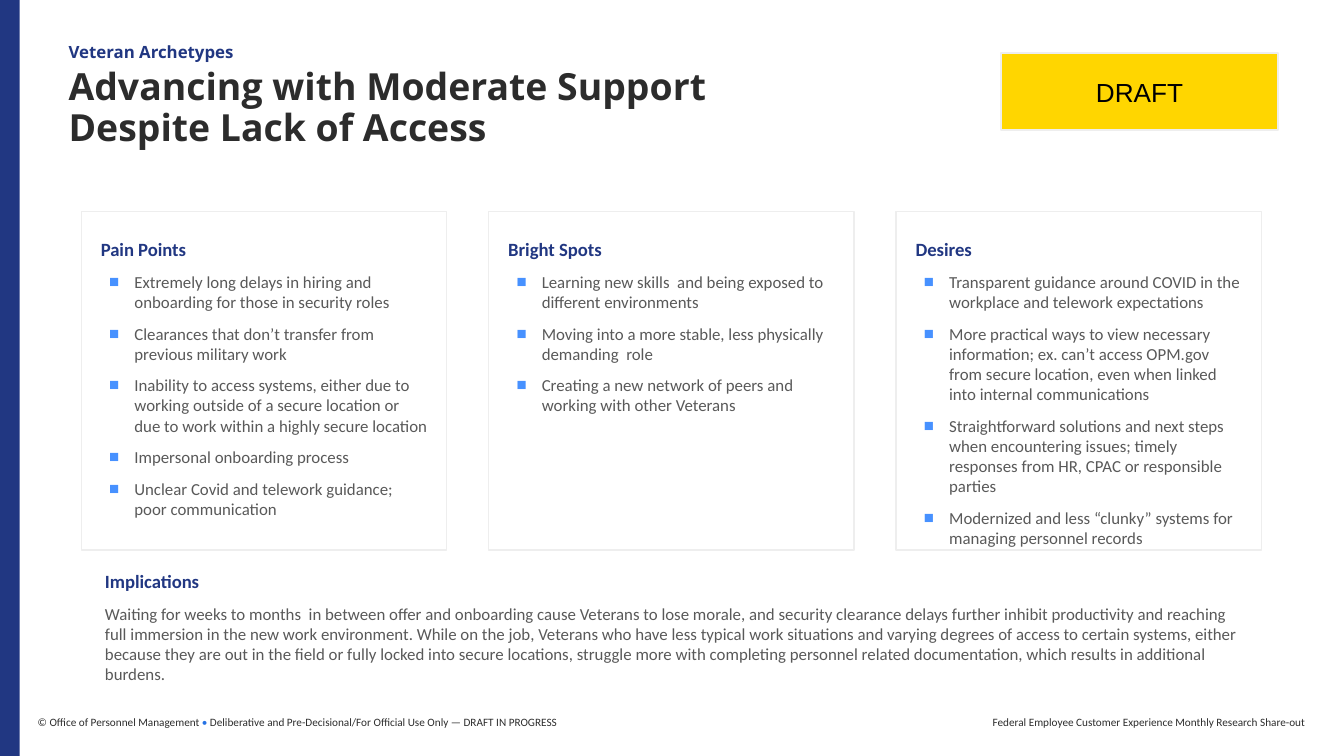
from lxml.etree import SubElement
from pptx import Presentation
from pptx.dml.color import RGBColor
from pptx.enum.shapes import MSO_SHAPE
from pptx.enum.text import MSO_ANCHOR, MSO_AUTO_SIZE, PP_ALIGN
from pptx.oxml.ns import qn
from pptx.util import Pt

PX = 9525  # EMU per px, 96 px to the inch
NAVY, WHITE, INK, GREY = "213782", "FFFFFF", "2C2C2C", "595959"
BLUE, BULLET, EDGE, YELLOW = "2572E4", "4791FF", "EEEEEE", "FFD600"

HEADING = dict(name="Calibri", size=Pt(10), bold=True, color=NAVY)
BODY = dict(name="Calibri", size=Pt(9), bold=False, color=GREY)
TITLE = dict(name="Open Sans", size=Pt(20), bold=True, color=INK)
EYEBROW = dict(name="Open Sans", size=Pt(9), bold=True, color=NAVY)
FOOTER = dict(name="Calibri", size=Pt(6), color=INK)
FOOTER_DOT = dict(FOOTER, color=BLUE)
STAMP = dict(name="Arial", size=Pt(14), color="000000")

CARDS = [
    ("Pain Points", [
        "Extremely long delays in hiring and onboarding for those in security roles",
        "Clearances that don’t transfer from previous military work",
        "Inability to access systems, either due to working outside of a secure "
        "location or due to work within a highly secure location",
        "Impersonal onboarding process",
        "Unclear Covid and telework guidance; poor communication",
    ]),
    ("Bright Spots", [
        "Learning new skills  and being exposed to different environments",
        "Moving into a more stable, less physically demanding  role",
        "Creating a new network of peers and working with other Veterans",
    ]),
    ("Desires", [
        "Transparent guidance around COVID in the workplace and telework expectations",
        "More practical ways to view necessary information; ex. can’t access OPM.gov "
        "from secure location, even when linked into internal communications",
        "Straightforward solutions and next steps when encountering issues; timely "
        "responses from HR, CPAC or responsible parties",
        "Modernized and less “clunky” systems for managing personnel records",
    ]),
]
IMPLICATIONS = (
    "Waiting for weeks to months  in between offer and onboarding cause Veterans to "
    "lose morale, and security clearance delays further inhibit productivity and "
    "reaching full immersion in the new work environment. While on the job, Veterans "
    "who have less typical work situations and varying degrees of access to certain "
    "systems, either because they are out in the field or fully locked into secure "
    "locations, struggle more with completing personnel related documentation, which "
    "results in additional burdens."
)


def rgb(value):
    return RGBColor.from_string(value)


def place(sp, *box):
    for name, value in zip(("left", "top", "width", "height"), box):
        setattr(sp, name, value * PX)


def paint(sp, fill, line=None):
    sp.fill.solid()
    sp.fill.fore_color.rgb = rgb(fill)
    if line:
        sp.line.color.rgb = rgb(line)
        sp.line.width = Pt(0.75)
    else:
        sp.line.fill.background()


def set_frame(sp, insets=(0, 0, 0, 0), anchor=MSO_ANCHOR.TOP):
    """Set wrapping, anchor and the left, top, right and bottom insets."""
    tf = sp.text_frame
    tf.word_wrap = True
    tf.auto_size = MSO_AUTO_SIZE.NONE
    tf.vertical_anchor = anchor
    for side, value in zip(("left", "top", "right", "bottom"), insets):
        setattr(tf, f"margin_{side}", value * PX)
    return tf


def write(p, *runs, align=PP_ALIGN.LEFT, before=0, bullet=False):
    """Fill a paragraph with (text, format) runs."""
    p.alignment = align
    p.space_before = Pt(before)
    p.space_after = Pt(0)
    pPr = p._p.get_or_add_pPr()
    pPr.set("marL", str(24 * PX if bullet else 0))
    pPr.set("indent", str(-18 * PX if bullet else 0))
    if bullet:
        SubElement(SubElement(pPr, qn("a:buClr")), qn("a:srgbClr"), val=BULLET)
        SubElement(pPr, qn("a:buChar"), char="■")
    else:
        SubElement(pPr, qn("a:buNone"))
    for text, fmt in runs:
        r = p.add_run()
        r.text = text
        for name, value in fmt.items():
            if name == "color":
                r.font.color.rgb = rgb(value)
            else:
                setattr(r.font, name, value)


def add_rect(s, box, fill, line=None):
    sp = s.shapes.add_shape(MSO_SHAPE.RECTANGLE, *(v * PX for v in box))
    sp.shadow.inherit = False
    paint(sp, fill, line)
    return sp


def add_label(s, box, *runs, insets=(0, 0, 0, 0), anchor=MSO_ANCHOR.MIDDLE,
              align=PP_ALIGN.LEFT):
    sp = s.shapes.add_textbox(*(v * PX for v in box))
    write(set_frame(sp, insets, anchor).paragraphs[0], *runs, align=align)


def fill_section(sp, box, heading, items, insets, bullet):
    """Lay out a body placeholder as a heading with paragraphs below it."""
    place(sp, *box)
    tf = set_frame(sp, insets)
    write(tf.paragraphs[0], (heading, HEADING))
    for item in items:
        write(tf.add_paragraph(), (item, BODY), before=6, bullet=bullet)


def main():
    prs = Presentation()
    prs.slide_width, prs.slide_height = 960 * PX, 540 * PX
    s = prs.slides.add_slide(prs.slide_layouts.get_by_name("Comparison"))
    s.background.fill.solid()
    s.background.fill.fore_color.rgb = rgb(NAVY)
    panel = add_rect(s, (14, 0, 946, 540), WHITE)
    s.shapes._spTree.insert(2, panel._element)

    title, *cards, implications = s.placeholders
    place(title, 49, 49, 557, 75)
    p = set_frame(title, (0, 0, 0, 10)).paragraphs[0]
    write(p, ("Advancing with Moderate Support Despite Lack of Access", TITLE))
    p.line_spacing = 0.9
    add_label(s, (49, 27, 307, 17), ("Veteran Archetypes", EYEBROW),
              anchor=MSO_ANCHOR.BOTTOM)

    for i, (sp, (heading, items)) in enumerate(zip(cards, CARDS)):
        fill_section(sp, (58 + 291 * i, 151, 261, 242), heading, items,
                     (14, 19, 14, 14), bullet=True)
        paint(sp, WHITE, EDGE)
    fill_section(implications, (75, 407, 810, 100), "Implications", [IMPLICATIONS],
                 (0, 0, 0, 10), bullet=False)

    stamp = add_rect(s, (715, 38, 198, 55), YELLOW, EDGE)
    write(set_frame(stamp, (10, 10, 10, 10), MSO_ANCHOR.MIDDLE).paragraphs[0],
          ("DRAFT", STAMP), align=PP_ALIGN.CENTER)

    add_label(s, (27, 502, 432, 27),
              ("© Office of Personnel Management ", FOOTER), ("•", FOOTER_DOT),
              (" Deliberative and Pre-Decisional/For Official Use Only"
               " — DRAFT IN PROGRESS", FOOTER), insets=(0, 10, 0, 10))
    add_label(s, (561, 502, 371, 27),
              ("Federal Employee Customer Experience Monthly Research Share-out", FOOTER),
              insets=(0, 10, 0, 10), align=PP_ALIGN.RIGHT)
    prs.save("out.pptx")


if __name__ == "__main__":
    main()
